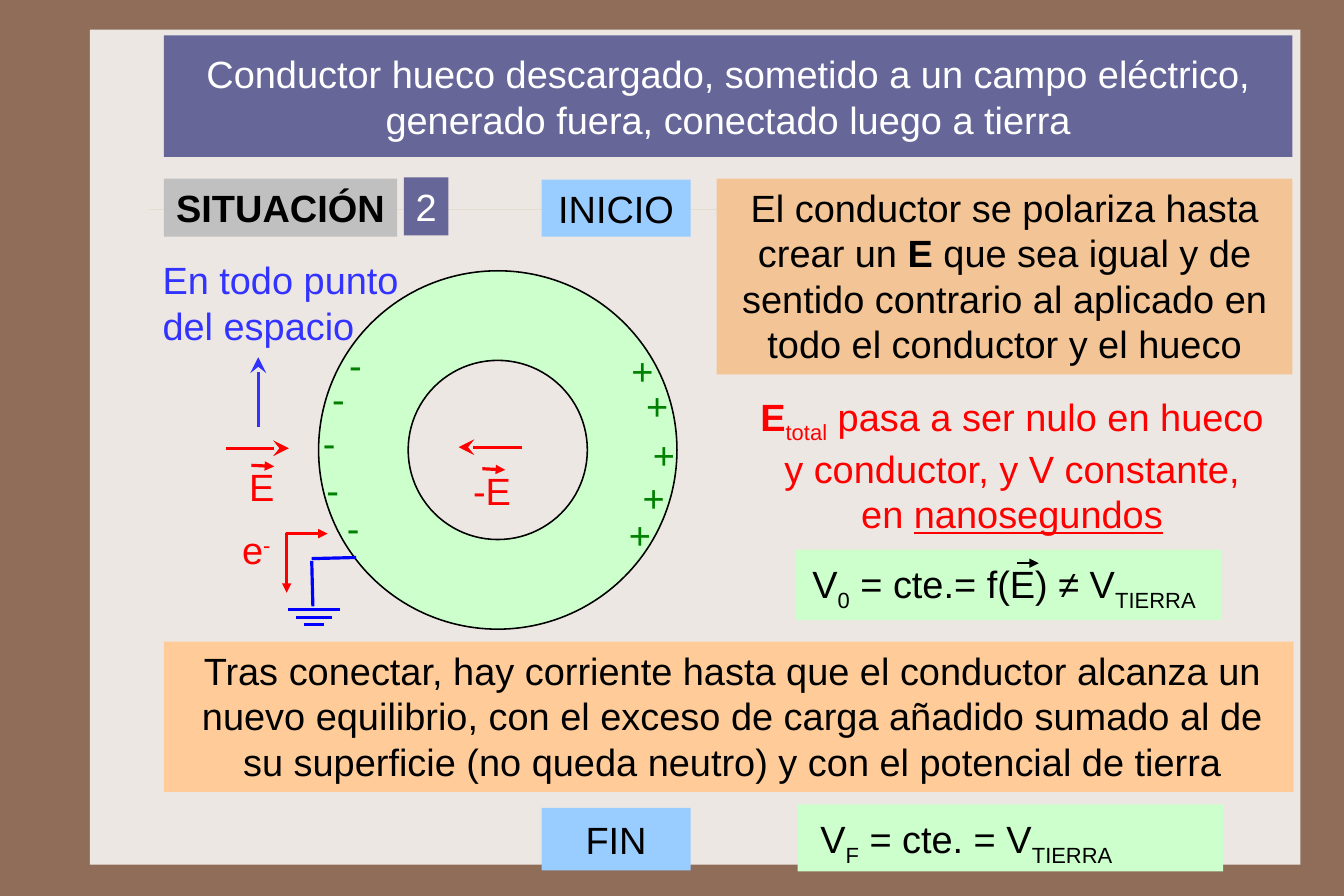
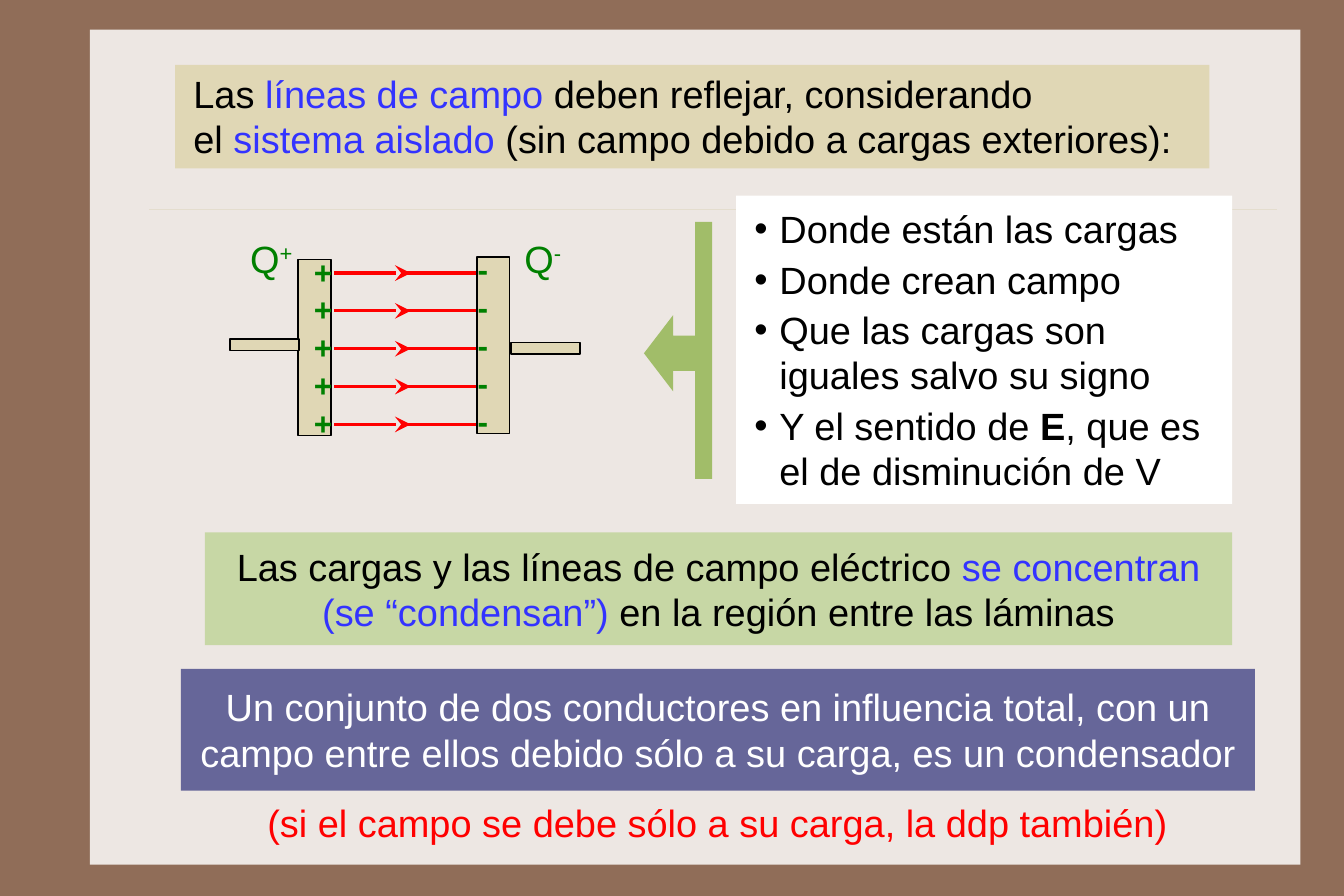
from pptx import Presentation
from pptx.dml.color import RGBColor
from pptx.enum.shapes import MSO_CONNECTOR, MSO_SHAPE
from pptx.enum.text import MSO_ANCHOR, MSO_AUTO_SIZE, PP_ALIGN
from pptx.oxml.ns import qn
from pptx.oxml.xmlchemy import OxmlElement
from pptx.util import Inches, Pt

FONT = "Arial"
BROWN, PAPER, RULE = "906D58", "EDE7E3", "E4DDCE"
BLACK, WHITE, RED, BLUE, GREEN = "000000", "FFFFFF", "FF0000", "3333FF", "008000"
INDIGO, MINT, SKY, SAND, WIRE = "666699", "CCFFCC", "99CCFF", "E0D7B5", "0000FF"
LEAF = "A1BD69"
BASELINES = {"sub": "-25000", "sup": "30000"}
INSETS = (0.1, 0.05, 0.1, 0.05)
LEFT, CENTER = PP_ALIGN.LEFT, PP_ALIGN.CENTER
TOP, MIDDLE = MSO_ANCHOR.TOP, MSO_ANCHOR.MIDDLE

INDUCTION_TITLE = [["Conductor hueco descargado, sometido a un campo eléctrico, "
                    "generado fuera, conectado luego a tierra"]]
INDUCTION_BLOCKS = [
    {"at": (1.44, 5.64, 9.93, 1.32), "fill": "FFCC99", "insets": (0.16, 0.05, 0.1, 0.05),
     "text": [["Tras conectar, hay corriente hasta que el conductor alcanza un nuevo equilibrio, "
               "con el exceso de carga añadido sumado al de su superficie (no queda neutro) "
               "y con el potencial de tierra"]]},
    {"at": (6.3, 1.57, 5.06, 1.72), "fill": "F3C495",
     "text": [["El conductor se polariza hasta crear un ", ("E ", "bold"),
               "que sea igual y de sentido contrario al aplicado en todo el conductor y el hueco"]]},
    {"at": (4.76, 1.58, 1.31, 0.5), "fill": SKY, "anchor": MIDDLE, "text": [["INICIO"]]},
    {"at": (4.76, 7.1, 1.31, 0.55), "fill": SKY, "anchor": MIDDLE, "text": [["FIN"]]},
    {"at": (1.44, 1.57, 2.05, 0.51), "fill": "C0C0C0", "anchor": MIDDLE, "wrap": False,
     "text": [[("SITUACIÓN", "bold")]]},
    {"at": (3.55, 1.56, 0.39, 0.51), "fill": INDIGO, "color": WHITE, "wrap": False,
     "text": [["2"]]},
    {"at": (7.01, 7.07, 3.74, 0.59), "fill": MINT, "align": LEFT,
     "insets": (0.2, 0.1, 0.1, 0.05),
     "text": [["V", ("F", "sub"), " = cte. = V", ("TIERRA", "sub")]]},
    {"at": (6.99, 4.83, 3.74, 0.62), "fill": MINT, "align": LEFT,
     "insets": (0.15, 0.1, 0.1, 0.05),
     "text": [["V", ("0", "sub"), " = cte.= f(E) ≠ V", ("TIERRA", "sub")]]},
]
INDUCTION_LABELS = [
    {"at": (2.09, 4.03, 0.38, 0.43), "color": RED, "wrap": False, "text": [["E"]]},
    {"at": (4.06, 4.06, 0.48, 0.43), "color": RED, "wrap": False, "text": [["-E"]]},
    {"at": (2.03, 4.54, 0.46, 0.59), "color": RED, "wrap": False,
     "insets": (0.1, 0.09, 0.1, 0.09), "text": [["e", ("-", "sup")]]},
    {"at": (1.33, 2.21, 2.38, 0.91), "color": BLUE, "text": [["En todo punto del espacio"]]},
    {"at": (6.53, 3.41, 4.73, 1.32), "color": RED, "align": CENTER,
     "text": [[("E", "bold"), ("total", "sub"),
               " pasa a ser nulo en hueco y conductor, y V constante,"],
              ["en ", ("nanosegundos", "underline")]]},
]
RING_CHARGES = [
    ("+", 0.39, [(5.45, 3.01), (5.58, 3.31), (5.64, 3.74), (5.55, 4.12), (5.43, 4.45)]),
    ("-", 0.31, [(2.97, 2.95), (2.82, 3.25), (2.74, 3.64), (2.77, 4.05), (2.95, 4.39)]),
]
INDUCTION_ARROWS = [
    ((1.99, 3.94), (2.54, 3.94), RED, 2, "stealth"),
    ((2.21, 4.09), (2.41, 4.1), RED, 2, "triangle"),
    ((4.59, 3.93), (4.03, 3.93), RED, 2, "stealth"),
    ((4.24, 4.12), (4.44, 4.13), RED, 2, "triangle"),
    ((2.27, 3.75), (2.27, 3.14), BLUE, 2, "stealth"),
    ((8.94, 4.95), (9.13, 4.95), BLACK, 1, "triangle"),
]
GROUND_WIRES = [((3.13, 4.9), (2.74, 4.91)), ((2.74, 4.93), (2.75, 5.33))]
GROUND_CENTER = 2.76
GROUND_BARS = [(5.36, 0.46), (5.43, 0.31), (5.49, 0.18)]
ELECTRON_TURN = [(2.88, 4.69), (2.52, 4.69), (2.52, 5.21)]

CAPACITOR_TITLE = [["Las ", ("líneas de campo ", BLUE), "deben reflejar, considerando"],
                   ["el ", ("sistema aislado ", BLUE),
                    "(sin campo debido a cargas exteriores):"]]
FIELD_LINE_POINTS = [
    ["Donde están las cargas"],
    ["Donde crean campo"],
    ["Que las cargas son", "\n", "iguales salvo su signo"],
    ["Y el sentido de ", ("E", "bold"), ", que es", "\n", "el de disminución de V"],
]
CAPACITOR_BLOCKS = [
    {"at": (1.8, 4.68, 9.03, 0.99), "fill": "C7D7A5", "anchor": MIDDLE,
     "insets": (0.16, 0.09, 0.16, 0.09),
     "text": [["Las cargas y las líneas de campo eléctrico ",
               ("se concentran (se “condensan”)", BLUE), " en la región entre las láminas"]]},
    {"at": (1.59, 5.88, 9.44, 1.07), "fill": INDIGO, "color": WHITE,
     "insets": (0.1, 0.13, 0.1, 0.13),
     "text": [["Un conjunto de dos conductores en influencia total, con un campo entre ellos "
               "debido sólo a su carga, es un condensador"]]},
]
CAPACITOR_LABELS = [
    {"at": (2.1, 2.02, 0.59, 0.51), "color": GREEN, "wrap": False, "text": [["Q", ("+", "sup")]]},
    {"at": (4.51, 2.02, 0.53, 0.51), "color": GREEN, "wrap": False, "text": [["Q", ("-", "sup")]]},
    {"at": (2.13, 6.98, 8.35, 0.5), "color": RED, "align": CENTER,
     "text": [["(si el campo se debe sólo a su carga, la ddp también)"]]},
]
CAPACITOR_PARTS = [(2.62, 2.28, 0.29, 1.55), (4.19, 2.26, 0.29, 1.55),
                   (2.02, 2.98, 0.61, 0.1), (4.49, 3.01, 0.61, 0.1)]
PLATE_CHARGES = [("+", 2.66, 2.17, 0.36), ("-", 4.1, 2.15, 0.29)]
FIELD_ROWS, FIELD_TOP, FIELD_BOTTOM = 5, 2.4, 3.73
FIELD_STEP = (FIELD_BOTTOM - FIELD_TOP) / (FIELD_ROWS - 1)


def rgb(value):
    return RGBColor.from_string(value)


def inches(values):
    return [Inches(value) for value in values]


def write(shape, text, color=BLACK, size=24, align=LEFT, anchor=TOP, insets=INSETS, wrap=True):
    frame = shape.text_frame
    frame.word_wrap = wrap
    frame.auto_size = MSO_AUTO_SIZE.NONE
    frame.vertical_anchor = anchor
    (frame.margin_left, frame.margin_top,
     frame.margin_right, frame.margin_bottom) = inches(insets)
    for index, spans in enumerate(text):
        para = frame.add_paragraph() if index else frame.paragraphs[0]
        para.alignment = align
        para.space_before = Pt(0)
        for item in spans:
            if item == "\n":
                para.add_line_break()
                continue
            words, style = (item, "") if isinstance(item, str) else item
            span = para.add_run()
            span.text = words
            font = span.font
            font.name, font.size = FONT, Pt(size)
            font.bold = style == "bold"
            font.color.rgb = rgb(style if len(style) == 6 else color)
            if style == "underline":
                font.underline = True
            if style in BASELINES:
                font._element.set("baseline", BASELINES[style])


def paint(shape, fill=None, line=None, width=1):
    if fill:
        shape.fill.solid()
        shape.fill.fore_color.rgb = rgb(fill)
    else:
        shape.fill.background()
    if line:
        shape.line.color.rgb = rgb(line)
        shape.line.width = Pt(width)
    else:
        shape.line.fill.background()


def add_block(page, at, fill, kind=MSO_SHAPE.RECTANGLE, line=None, text=None, **style):
    block = page.shapes.add_shape(kind, *inches(at))
    block.shadow.inherit = False
    paint(block, fill, line)
    if text:
        write(block, text, **{"align": CENTER, **style})
    return block


def add_label(page, at, text, **style):
    write(page.shapes.add_textbox(*inches(at)), text, **style)


def add_heads(shape, **heads):
    outline = shape._element.spPr.find(qn("a:ln"))
    for end, kind in heads.items():
        head = OxmlElement(f"a:{end}")
        head.set("type", kind)
        if kind == "stealth":
            head.set("w", "lg")
            head.set("len", "lg")
        outline.append(head)


def add_line(page, start, end, color, width=2, head=None):
    line = page.shapes.add_connector(MSO_CONNECTOR.STRAIGHT, *inches(start + end))
    line.line.color.rgb = rgb(color)
    line.line.width = Pt(width)
    if head:
        add_heads(line, tailEnd=head)
    line._element.spPr.append(OxmlElement("a:effectLst"))
    return line


def place(holder, at, fill):
    holder.left, holder.top, holder.width, holder.height = inches(at)
    paint(holder, fill)


def set_title(page, at, fill, text, **style):
    place(page.shapes.title, at, fill)
    write(page.shapes.title, text, **style)


def dress_master(deck, page):
    master = deck.slide_master
    master.background.fill.solid()
    master.background.fill.fore_color.rgb = rgb(BROWN)
    panel = add_block(page, (0.79, 0.26, 10.64, 7.34), PAPER)
    rule = add_line(page, (1.31, 1.84), (11.22, 1.84), RULE, 1)
    for index, shape in enumerate((panel, rule)):
        element = shape._element
        element.xpath(".//p:cNvPr")[0].set("id", str(100 + index))
        master.shapes._spTree.insert(2 + index, element)


def fill_induction(page):
    set_title(page, (1.44, 0.31, 9.92, 1.07), INDIGO, INDUCTION_TITLE, color=WHITE,
              align=CENTER, anchor=MIDDLE, insets=(0.1, 0.13, 0.1, 0.13))
    ring = add_block(page, (2.8, 2.38, 3.15, 3.15), MINT, MSO_SHAPE.DONUT, BLACK)
    ring.adjustments[0] = 0.25
    for sign, width, spots in RING_CHARGES:
        for left, top in spots:
            add_label(page, (left, top, width, 0.5), [[sign]], color=GREEN, wrap=False)
    for block in INDUCTION_BLOCKS:
        add_block(page, **block)
    for label in INDUCTION_LABELS:
        add_label(page, **label)
    for arrow in INDUCTION_ARROWS:
        add_line(page, *arrow)
    for start, end in GROUND_WIRES:
        add_line(page, start, end, WIRE)
    for y, width in GROUND_BARS:
        add_line(page, (GROUND_CENTER - width / 2, y), (GROUND_CENTER + width / 2, y), WIRE)
    points = [tuple(inches(point)) for point in ELECTRON_TURN]
    builder = page.shapes.build_freeform(*points[0])
    builder.add_line_segments(points[1:], close=False)
    turn = builder.convert_to_shape()
    turn.shadow.inherit = False
    paint(turn, line=RED, width=2)
    add_heads(turn, headEnd="triangle", tailEnd="triangle")


def fill_capacitor(page):
    set_title(page, (1.54, 0.57, 9.09, 0.91), SAND, CAPACITOR_TITLE,
              insets=(0.16, 0.05, 0.1, 0.05))
    body = page.placeholders[1]
    place(body, (6.47, 1.72, 4.36, 2.71), WHITE)
    write(body, FIELD_LINE_POINTS, insets=(0.16, 0.09, 0.1, 0.05))
    for index, para in enumerate(body.text_frame.paragraphs):
        properties = para._p.get_or_add_pPr()
        properties.set("marL", str(Inches(0.22)))
        properties.set("indent", str(-Inches(0.22)))
        para.space_before = Pt(3 if index else 0)
    for row in range(FIELD_ROWS):
        y = FIELD_TOP + row * FIELD_STEP
        add_line(page, (2.94, y), (3.61, y), RED, head="stealth")
        add_line(page, (3.53, y), (4.19, y), RED)
    for part in CAPACITOR_PARTS:
        add_block(page, part, SAND, line=BLACK)
    for sign, left, top, width in PLATE_CHARGES:
        for row in range(FIELD_ROWS):
            add_label(page, (left, top + row * FIELD_STEP, width, 0.44), [[(sign, "bold")]],
                      color=GREEN, size=20, wrap=False)
    pointer = add_block(page, (5.66, 2.77, 0.45, 0.67), LEAF, MSO_SHAPE.LEFT_ARROW)
    pointer.adjustments[0], pointer.adjustments[1] = 0.46, 0.57
    add_block(page, (6.11, 1.95, 0.15, 2.26), LEAF)
    for block in CAPACITOR_BLOCKS:
        add_block(page, **block)
    for label in CAPACITOR_LABELS:
        add_label(page, **label)


def main():
    deck = Presentation()
    deck.slide_width, deck.slide_height = Inches(189 / 16), Inches(63 / 8)
    induction = deck.slides.add_slide(deck.slide_layouts[5])
    capacitor = deck.slides.add_slide(deck.slide_layouts[1])
    dress_master(deck, induction)
    fill_induction(induction)
    fill_capacitor(capacitor)
    deck.save("out.pptx")


if __name__ == "__main__":
    main()
